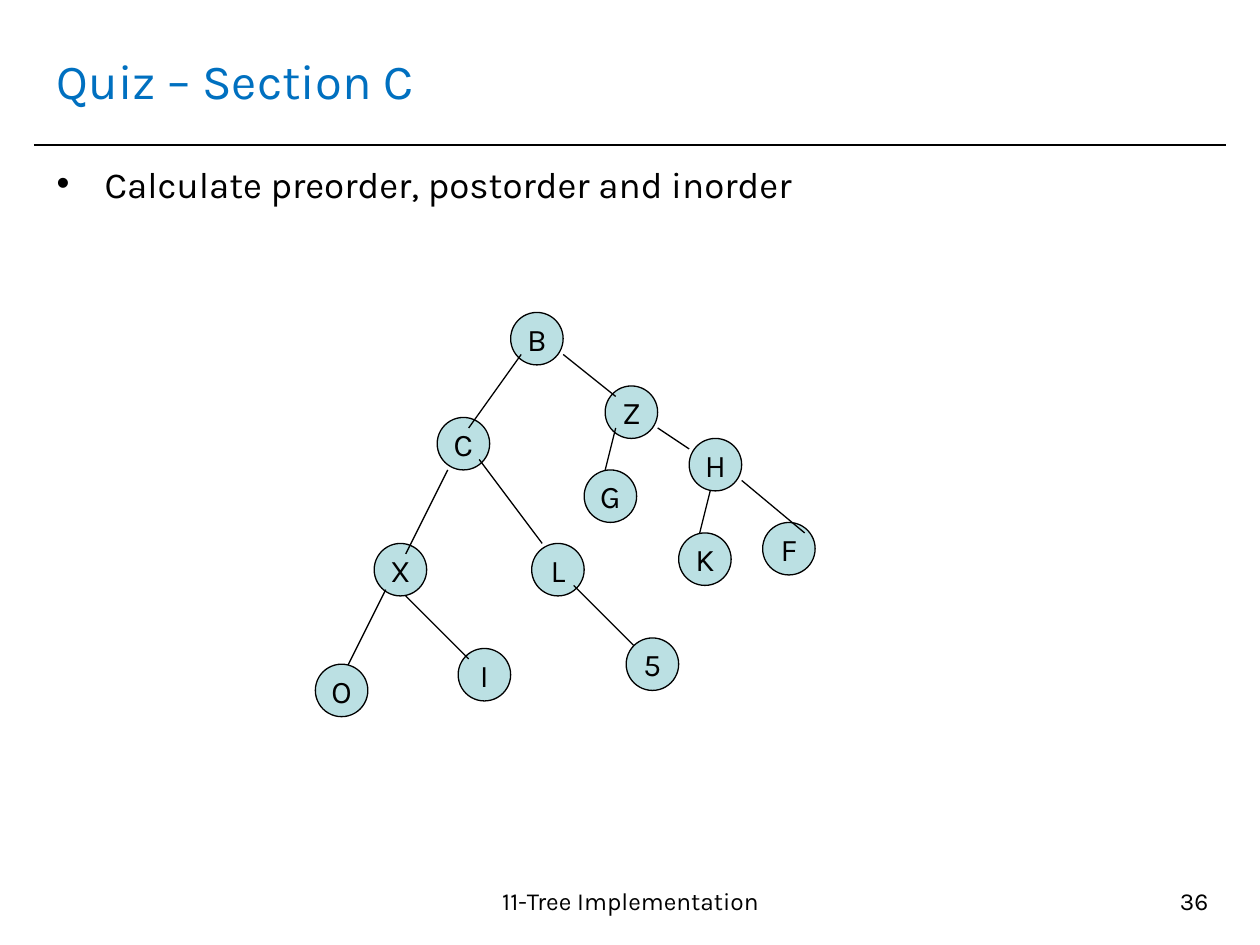
from typing import NamedTuple

import pptx
import pptx.dml.color
import pptx.enum.shapes
import pptx.enum.text
import pptx.oxml
import pptx.oxml.ns
import pptx.util

Inches = pptx.util.Inches
Align = pptx.enum.text.PP_ALIGN
Anchor = pptx.enum.text.MSO_ANCHOR

BLACK = pptx.dml.color.RGBColor(0x00, 0x00, 0x00)
BLUE = pptx.dml.color.RGBColor(0x00, 0x70, 0xC0)
PALE_TEAL = pptx.dml.color.RGBColor(0xBB, 0xE0, 0xE3)

WIDTH, HEIGHT = 10, 7.5
# The tree sits on a grid with twelve cells to the inch
CELL = 1 / 12
TREE_LEFT, TREE_TOP = 2.47, 2.48
NODE_CELLS = 5


class Node(NamedTuple):
    label: str
    column: float
    row: float


class Edge(NamedTuple):
    start_column: float
    start_row: float
    end_column: float
    end_row: float


NODES = [
    Node("C", 12, 10), Node("B", 19, 0), Node("F", 43, 20), Node("H", 36, 12),
    Node("Z", 28, 7), Node("K", 35, 21), Node("G", 26, 15), Node("X", 6, 22),
    Node("I", 14, 32), Node("L", 21, 22),
]
EDGES = [
    Edge(20, 4, 15, 11), Edge(13, 15, 9, 23), Edge(9, 27, 15, 33),
    Edge(16, 14, 22, 22), Edge(25, 26, 31, 32), Edge(24, 4, 29, 8),
    Edge(38, 17, 37, 21), Edge(41, 16, 47, 21), Edge(33, 11, 36, 13),
    Edge(29, 11, 28, 15), Edge(7.1, 26.4, 3.1, 34.4),
]
# These leaves cover the ends of their edges
FRONT_NODES = [Node("5", 30, 31), Node("O", 0.4, 33.5)]


def grid_x(column: float) -> int:
    return Inches(TREE_LEFT + column * CELL)


def grid_y(row: float) -> int:
    return Inches(TREE_TOP + row * CELL)


def set_values(target, values: dict) -> None:
    for name, value in values.items():
        setattr(target, name, value)


def place(shape, left: float, top: float, width: float, height: float) -> None:
    set_values(shape, {"left": Inches(left), "top": Inches(top),
                       "width": Inches(width), "height": Inches(height)})


def write(box, text: str, size: float, align, anchor, color=BLACK, wrap=True):
    frame = box.text_frame
    set_values(frame, {"text": text, "word_wrap": wrap, "vertical_anchor": anchor,
                       "auto_size": pptx.enum.text.MSO_AUTO_SIZE.NONE})
    para = frame.paragraphs[0]
    set_values(para, {"alignment": align, "space_before": pptx.util.Pt(0)})
    span = para.runs[0]
    set_values(span.font, {"size": pptx.util.Pt(size), "name": "Karla"})
    span.font.color.rgb = color
    return para


def draw_line(page, start: tuple, end: tuple, weight: float) -> None:
    line = page.shapes.add_connector(
        pptx.enum.shapes.MSO_CONNECTOR.STRAIGHT, *start, *end)
    line.line.color.rgb = BLACK
    line.line.width = pptx.util.Pt(weight)
    properties = line._element.spPr
    properties.append(properties.makeelement(pptx.oxml.ns.qn("a:effectLst"), {}))


def draw_edge(page, edge: Edge) -> None:
    draw_line(page, (grid_x(edge.start_column), grid_y(edge.start_row)),
              (grid_x(edge.end_column), grid_y(edge.end_row)), 0.75)


def draw_node(page, node: Node) -> None:
    size = Inches(NODE_CELLS * CELL)
    circle = page.shapes.add_shape(pptx.enum.shapes.MSO_SHAPE.OVAL,
                                   grid_x(node.column), grid_y(node.row), size, size)
    circle.shadow.inherit = False
    circle.fill.solid()
    circle.fill.fore_color.rgb = PALE_TEAL
    circle.line.color.rgb = BLACK
    circle.line.width = pptx.util.Pt(0.75)
    write(circle, node.label, 18, Align.CENTER, Anchor.MIDDLE, wrap=False)


def add_bullet(para) -> None:
    properties = para._p.get_or_add_pPr()
    properties.set("marL", str(Inches(0.38)))
    properties.set("indent", str(-Inches(0.38)))
    color = pptx.oxml.parse_xml(
        f'<a:buClr {pptx.oxml.ns.nsdecls("a")}><a:srgbClr val="{BLACK}"/></a:buClr>')
    bullet = properties.makeelement(pptx.oxml.ns.qn("a:buChar"), {"char": "•"})
    properties.extend([color, bullet])


def add_footer(page, text: str, left: float, width: float, align) -> None:
    box = page.shapes.add_textbox(0, 0, 0, 0)
    place(box, left, 6.98, width, 0.52)
    write(box, text, 14, align, Anchor.TOP)


def main() -> None:
    deck = pptx.Presentation()
    set_values(deck, {"slide_width": Inches(WIDTH), "slide_height": Inches(HEIGHT)})
    page = deck.slides.add_slide(deck.slide_layouts[1])

    # Heading, rule and task
    draw_line(page, (Inches(0.27), Inches(1.15)),
              (Inches(WIDTH - 0.27), Inches(1.15)), 1)
    title, body = page.placeholders
    place(title, 0.35, 0.21, 9.29, 0.85)
    write(title, "Quiz – Section C", 28, Align.LEFT, Anchor.MIDDLE, BLUE)
    place(body, 0.35, 1.23, 9.29, 5.59)
    add_bullet(write(body, "Calculate preorder, postorder and inorder", 21,
                     Align.LEFT, Anchor.TOP))

    # Footer
    add_footer(page, "11-Tree Implementation", 3.35, 3.31, Align.CENTER)
    add_footer(page, "36", 7.36, 2.33, Align.RIGHT)

    # Binary tree
    for node in NODES:
        draw_node(page, node)
    for edge in EDGES:
        draw_edge(page, edge)
    for node in FRONT_NODES:
        draw_node(page, node)

    deck.save("out.pptx")


if __name__ == "__main__":
    main()
